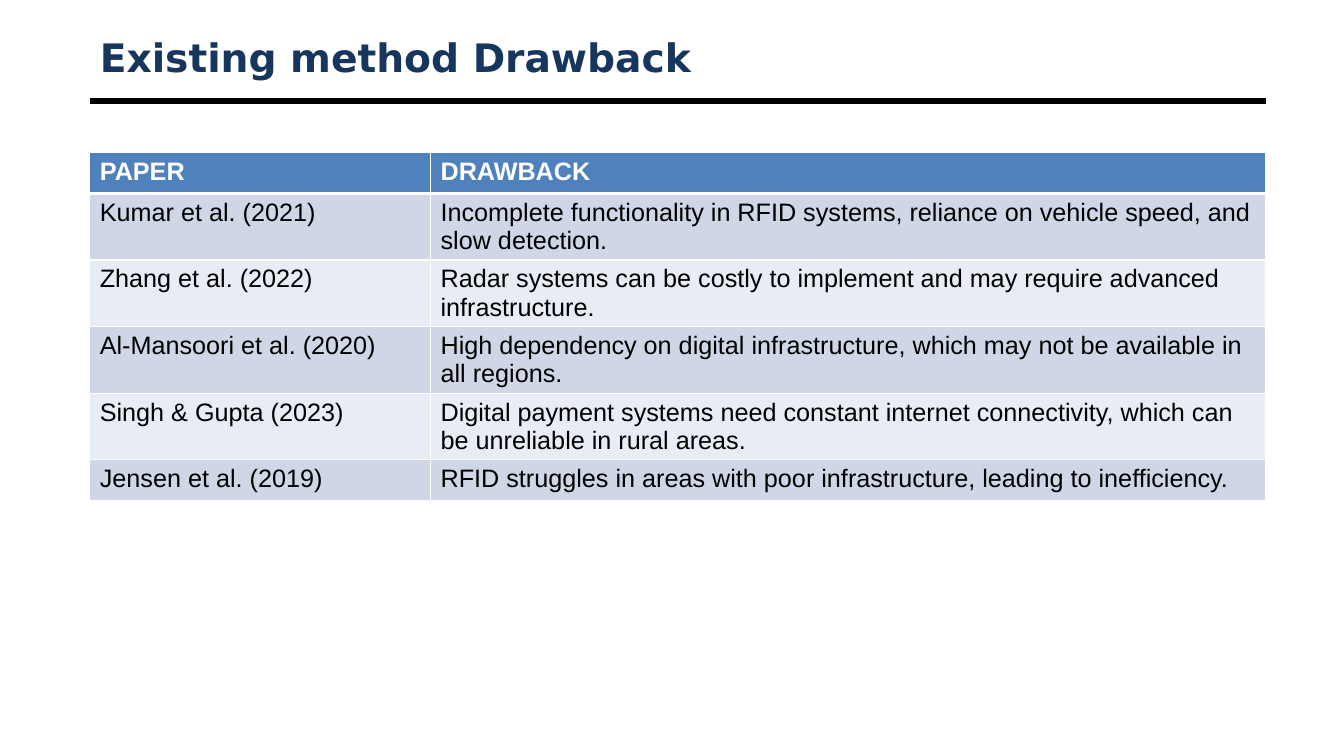
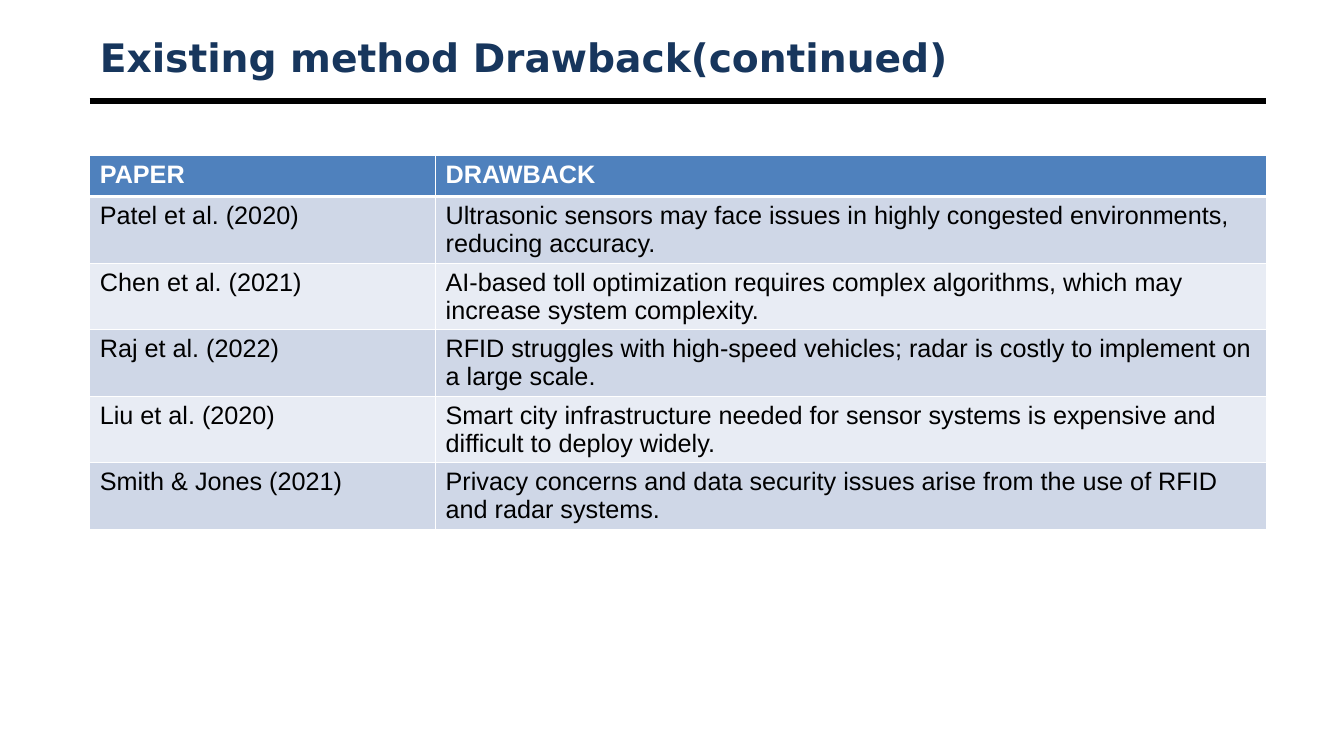
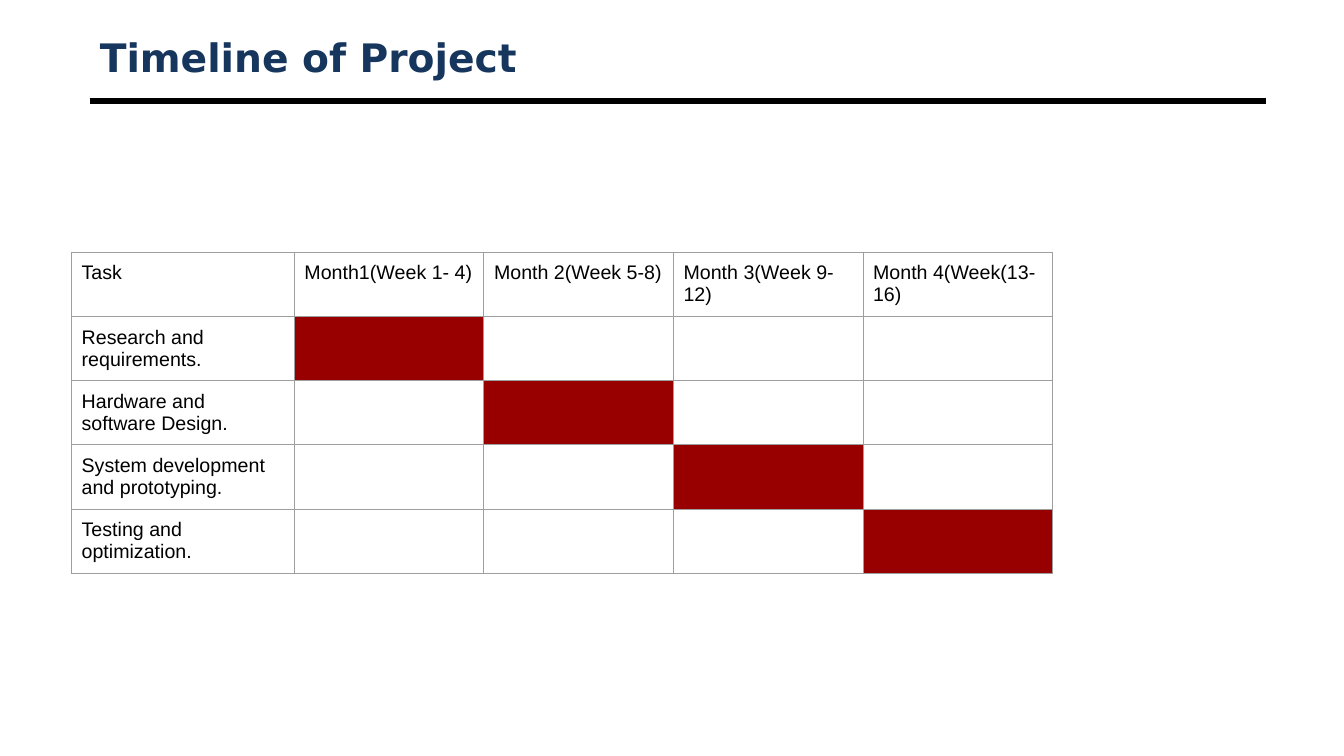
from dataclasses import dataclass

from lxml import etree
from pptx import Presentation
from pptx.dml.color import RGBColor
from pptx.enum.shapes import MSO_CONNECTOR
from pptx.enum.text import MSO_ANCHOR, MSO_AUTO_SIZE, PP_ALIGN
from pptx.oxml.ns import qn
from pptx.util import Inches, Pt

STRAIGHT = MSO_CONNECTOR.STRAIGHT
MIDDLE = MSO_ANCHOR.MIDDLE
FIXED = MSO_AUTO_SIZE.NONE
LEFT = PP_ALIGN.LEFT
TITLE_ONLY = 5


@dataclass(frozen=True)
class Theme:
    """Colours, fonts and sizes shared by the slides."""

    navy: str = "17365D"
    black: str = "000000"
    white: str = "FFFFFF"
    head: str = "4F81BD"
    bands: tuple = ("CFD7E7", "E8ECF4")
    grid: str = "9E9E9E"
    bar: str = "980000"
    title_font: str = "DejaVu Sans"
    body_font: str = "Arial"
    title_size: float = 28
    body_size: float = 18
    task_size: float = 14
    rule: float = 4.5
    thin: float = 1
    thick: float = 3
    hair: float = 0.75


THEME = Theme()
TITLE_BOX = (0.89, 0.3, 11.67, 0.53)
RULE_TOP = 1

FIRST = [
    ("Kumar et al. (2021)", "Incomplete functionality in RFID systems, reliance on vehicle speed, and slow detection."),
    ("Zhang et al. (2022)", "Radar systems can be costly to implement and may require advanced infrastructure."),
    ("Al-Mansoori et al. (2020)", "High dependency on digital infrastructure, which may not be available in all regions."),
    ("Singh & Gupta (2023)", "Digital payment systems need constant internet connectivity, which can be unreliable in rural areas."),
    ("Jensen et al. (2019)", "RFID struggles in areas with poor infrastructure, leading to inefficiency."),
]
SECOND = [
    ("Patel et al. (2020)", "Ultrasonic sensors may face issues in highly congested environments, reducing accuracy."),
    ("Chen et al. (2021)", "AI-based toll optimization requires complex algorithms, which may increase system complexity."),
    ("Raj et al. (2022)", "RFID struggles with high-speed vehicles; radar is costly to implement on a large scale."),
    ("Liu et al. (2020)", "Smart city infrastructure needed for sensor systems is expensive and difficult to deploy widely."),
    ("Smith & Jones (2021)", "Privacy concerns and data security issues arise from the use of RFID and radar systems."),
]
MONTHS = ["Month1(Week 1- 4)", "Month 2(Week 5-8)", "Month 3(Week 9-12)", "Month 4(Week(13-16)"]
TASKS = [
    "Research and requirements.",
    "Hardware and software Design.",
    "System development and prototyping.",
    "Testing and optimization.",
]


def write(frame, text, font, size, color, bold=False):
    """Put one formatted run in the first paragraph of a text frame."""
    par = frame.paragraphs[0]
    par.alignment = LEFT
    run = par.add_run()
    run.text = text
    run.font.name = font
    run.font.size = Pt(size)
    run.font.bold = bold
    run.font.color.rgb = RGBColor.from_string(color)


def add_title(slide, text, box):
    """Place the title placeholder in its box."""
    title = slide.shapes.title
    title.left, title.top, title.width, title.height = map(Inches, box)
    frame = title.text_frame
    frame.word_wrap = True
    frame.auto_size = FIXED
    frame.vertical_anchor = MIDDLE
    write(frame, text, THEME.title_font, THEME.title_size, THEME.navy, True)


def add_rule(slide, left, top, width):
    """Draw the heavy rule below the title."""
    ends = map(Inches, (left, top, left + width, top))
    rule = slide.shapes.add_connector(STRAIGHT, *ends)
    rule.line.color.rgb = RGBColor.from_string(THEME.black)
    rule.line.width = Pt(THEME.rule)
    etree.SubElement(rule.element.spPr, qn("a:effectLst"))


def add_page(deck, text):
    """Add a slide with the shared title and rule."""
    slide = deck.slides.add_slide(deck.slide_layouts[TITLE_ONLY])
    for holder in list(slide.placeholders):
        if holder.element is not slide.shapes.title.element:
            holder.element.getparent().remove(holder.element)
    add_title(slide, text, TITLE_BOX)
    left, _, width, _ = TITLE_BOX
    add_rule(slide, left, RULE_TOP, width)
    return slide


def add_grid(slide, left, top, cols, count, height):
    """Add a plain table with the given column widths and row height."""
    box = map(Inches, (left, top, sum(cols), count * height))
    table = slide.shapes.add_table(count, len(cols), *box).table
    table.first_row = table.horz_banding = False
    for col, width in zip(table.columns, cols):
        col.width = Inches(width)
    for row in table.rows:
        row.height = Inches(height)
    return table


def style_cell(cell, fill, color, side, top, bottom):
    """Set the borders of a cell, then its fill or none."""
    props = cell._tc.get_or_add_tcPr()
    for tag, width in (("lnL", side), ("lnR", side), ("lnT", top), ("lnB", bottom)):
        line = etree.SubElement(props, qn("a:" + tag), w=str(Pt(width)))
        solid = etree.SubElement(line, qn("a:solidFill"))
        etree.SubElement(solid, qn("a:srgbClr"), val=color)
    if fill:
        cell.fill.solid()
        cell.fill.fore_color.rgb = RGBColor.from_string(fill)
    else:
        cell.fill.background()


def add_papers(slide, left, top, cols, papers):
    """Add the banded table of papers and drawbacks."""
    rows = [("PAPER", "DRAWBACK")] + papers
    table = add_grid(slide, left, top, cols, len(rows), 0.41)
    for i, row in enumerate(rows):
        head = i == 0
        fill = THEME.head if head else THEME.bands[(i - 1) % 2]
        ink = THEME.white if head else THEME.black
        above = THEME.thick if i == 1 else THEME.thin
        below = THEME.thick if head else THEME.thin
        for j, text in enumerate(row):
            cell = table.cell(i, j)
            style_cell(cell, fill, THEME.white, THEME.thin, above, below)
            write(cell.text_frame, text, THEME.body_font, THEME.body_size, ink, head)


def add_plan(slide, left, top, cols):
    """Add the timeline, with one filled month for each task."""
    rows = [["Task"] + MONTHS] + [[task] + [""] * len(MONTHS) for task in TASKS]
    table = add_grid(slide, left, top, cols, len(rows), 0.63)
    for i, row in enumerate(rows):
        for j, text in enumerate(row):
            cell = table.cell(i, j)
            fill = THEME.bar if i == j > 0 else None
            style_cell(cell, fill, THEME.grid, THEME.hair, THEME.hair, THEME.hair)
            cell.margin_top = cell.margin_bottom = Inches(0.1)
            if text:
                write(cell.text_frame, text, THEME.body_font, THEME.task_size, THEME.black)


def main():
    """Build and save the deck."""
    deck = Presentation()
    deck.slide_width, deck.slide_height = Inches(13.33), Inches(7.5)
    add_papers(add_page(deck, "Existing method Drawback"), 0.89, 1.51, (3.38, 8.28), FIRST)
    add_papers(add_page(deck, "Existing method Drawback(continued)"), 0.89, 1.54, (3.43, 8.24), SECOND)
    add_plan(add_page(deck, "Timeline of Project"), 0.71, 2.5, [2.21] + [1.88] * len(MONTHS))
    deck.save("out.pptx")


if __name__ == "__main__":
    main()
